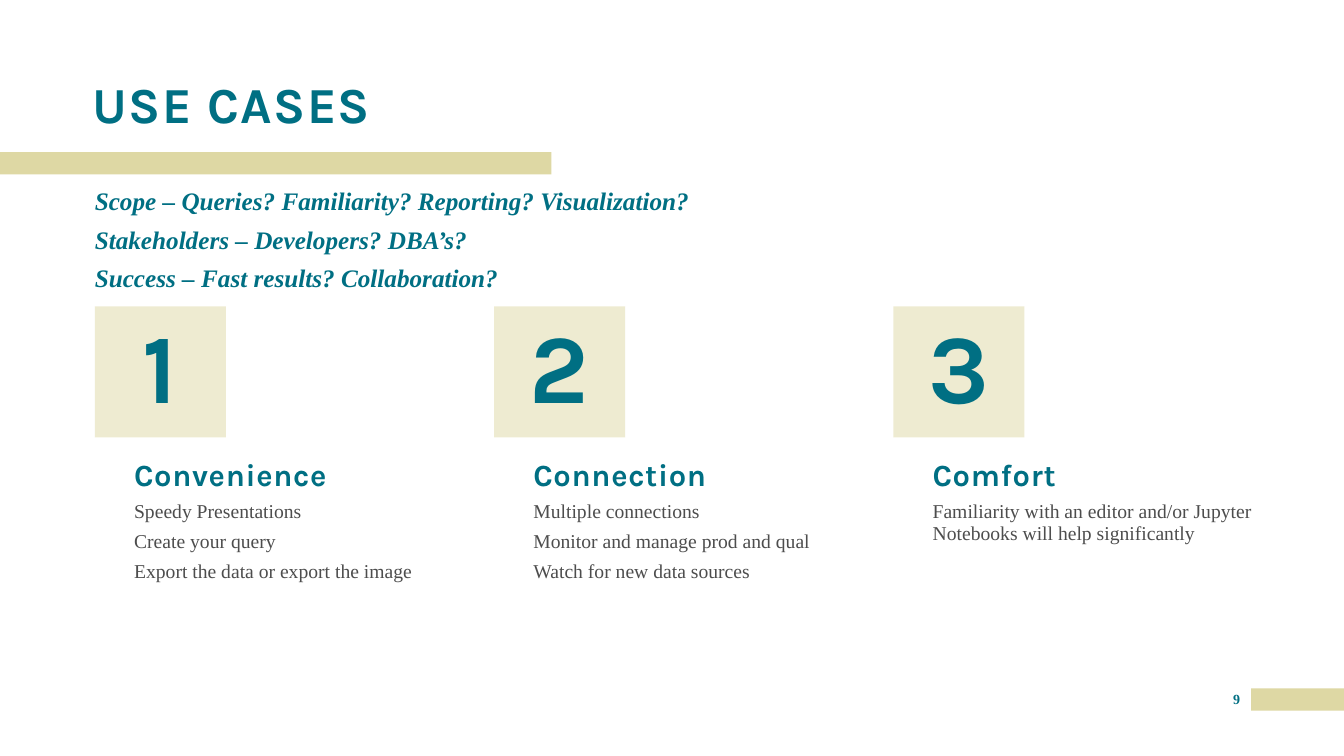
import pptx
import pptx.dml.color
import pptx.enum.shapes
import pptx.enum.text
import pptx.oxml.ns
import pptx.util
from lxml import etree

PX = 9144  # 100 px to the inch
COLORS = {"teal": "006F83", "sand": "DED8A4", "gray": "4D4D4D"}
ALIGN = pptx.enum.text.PP_ALIGN
ANCHOR = pptx.enum.text.MSO_ANCHOR

FORMATS = {
    "title": dict(name="Karla", size=36, bold=True, italic=False, color="teal",
                  line=0.9, before=0, anchor=ANCHOR.BOTTOM, align=ALIGN.LEFT, tracking=100),
    "questions": dict(name="Times New Roman", size=18, bold=True, italic=True, color="teal",
                      line=0.8, before=10, anchor=ANCHOR.TOP, align=ALIGN.LEFT, tracking=0),
    "number": dict(name="Karla", size=70, bold=True, italic=False, color="teal",
                   line=0.9, before=0, anchor=ANCHOR.MIDDLE, align=ALIGN.CENTER, tracking=0),
    "heading": dict(name="Karla", size=22, bold=True, italic=False, color="teal",
                    line=0.9, before=0, anchor=ANCHOR.BOTTOM, align=ALIGN.LEFT, tracking=50),
    "points": dict(name="Times New Roman", size=14, bold=False, italic=False, color="gray",
                   line=0.9, before=6, anchor=ANCHOR.TOP, align=ALIGN.LEFT, tracking=0),
    "page": dict(name="Times New Roman", size=10, bold=True, italic=False, color="teal",
                 line=1.0, before=0, anchor=ANCHOR.TOP, align=ALIGN.CENTER, tracking=0),
}


def write(holder, box, lines, style):
    """Place a text holder at box (px) and fill it with one paragraph per line."""
    for side, length in zip(("left", "top", "width", "height"), box):
        setattr(holder, side, length * PX)
    look = FORMATS[style]
    frame = holder.text_frame
    frame_values = dict(margin_left=0, margin_top=0, margin_right=0, margin_bottom=0,
                        word_wrap=True, auto_size=pptx.enum.text.MSO_AUTO_SIZE.NONE,
                        vertical_anchor=look["anchor"])
    for key, value in frame_values.items():
        setattr(frame, key, value)
    for row, line in enumerate(lines):
        paragraph = frame.add_paragraph() if row else frame.paragraphs[0]
        properties = paragraph._p.get_or_add_pPr()
        properties.set("marL", "0")
        properties.set("indent", "0")
        etree.SubElement(properties, pptx.oxml.ns.qn("a:buNone"))
        paragraph.alignment = look["align"]
        paragraph.line_spacing = look["line"]
        paragraph.space_before = pptx.util.Pt(look["before"] if row else 0)
        run = paragraph.add_run()
        run.text = line
        for key in ("name", "bold", "italic"):
            setattr(run.font, key, look[key])
        run.font.size = pptx.util.Pt(look["size"])
        run.font.color.rgb = pptx.dml.color.RGBColor.from_string(COLORS[look["color"]])
        if look["tracking"]:
            run._r.get_or_add_rPr().set("spc", str(look["tracking"]))


def add_sand_block(left, top, width, height):
    block = slide.shapes.add_shape(pptx.enum.shapes.MSO_SHAPE.RECTANGLE,
                                   left * PX, top * PX, width * PX, height * PX)
    block.shadow.inherit = False
    block.fill.solid()
    block.fill.fore_color.rgb = pptx.dml.color.RGBColor.from_string(COLORS["sand"])
    block.line.fill.background()
    return block


deck = pptx.Presentation()
deck.slide_width = 1333 * PX
deck.slide_height = 750 * PX
slide = deck.slides.add_slide(deck.slide_layouts.get_by_name("Comparison"))
title, questions, *point_lists = slide.placeholders

add_sand_block(1241, 683, 92, 22)
add_sand_block(0, 151, 547, 22)

write(title, (92, 68, 853, 65), ["USE CASES"], "title")
write(questions, (94, 190, 853, 103), [
    "Scope – Queries? Familiarity? Reporting? Visualization?",
    "Stakeholders – Developers? DBA’s?",
    "Success – Fast results? Collaboration?",
], "questions")

use_cases = [
    ("Convenience", ["Speedy Presentations", "Create your query",
                     "Export the data or export the image"]),
    ("Connection", ["Multiple connections", "Monitor and manage prod and qual",
                    "Watch for new data sources"]),
    ("Comfort", ["Familiarity with an editor and/or Jupyter Notebooks will help significantly"]),
]
for column, ((heading, points), point_list) in enumerate(zip(use_cases, point_lists)):
    left = 94 + 396 * column
    number_box = (left, 304, 130, 130)
    number = add_sand_block(*number_box)
    sand = number.fill._xPr.find(".//" + pptx.oxml.ns.qn("a:srgbClr"))
    etree.SubElement(sand, pptx.oxml.ns.qn("a:alpha"), val="50000")
    write(number, number_box, [str(column + 1)], "number")
    heading_box = slide.shapes.add_textbox(0, 0, 0, 0)
    write(heading_box, (left + 39, 438, 320, 51), [heading], "heading")
    write(point_list, (left + 39, 498, 320, 124), points, "points")

page_number = slide.shapes.add_textbox(0, 0, 0, 0)
write(page_number, (1212, 685, 29, 25), ["9"], "page")

deck.save("out.pptx")
